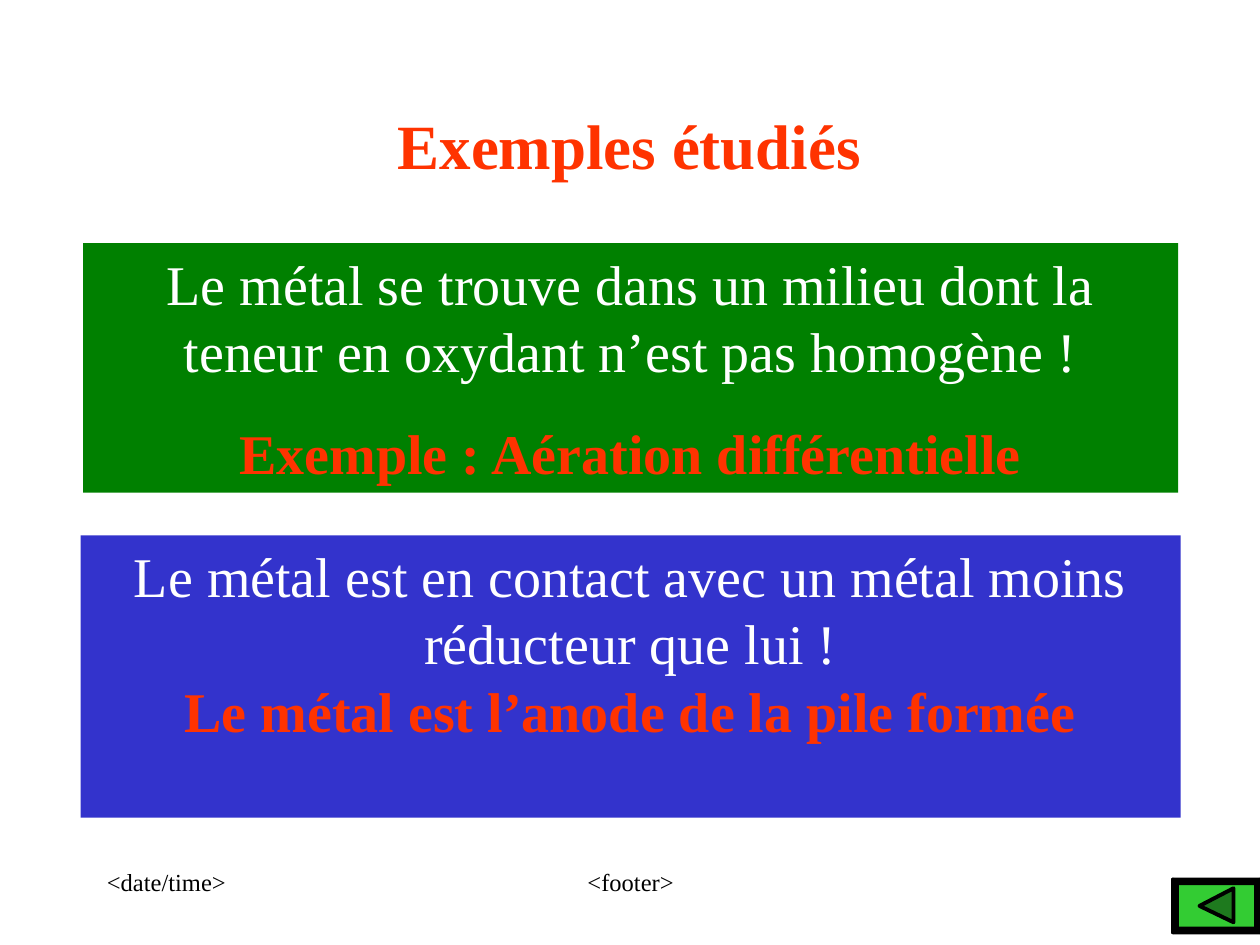
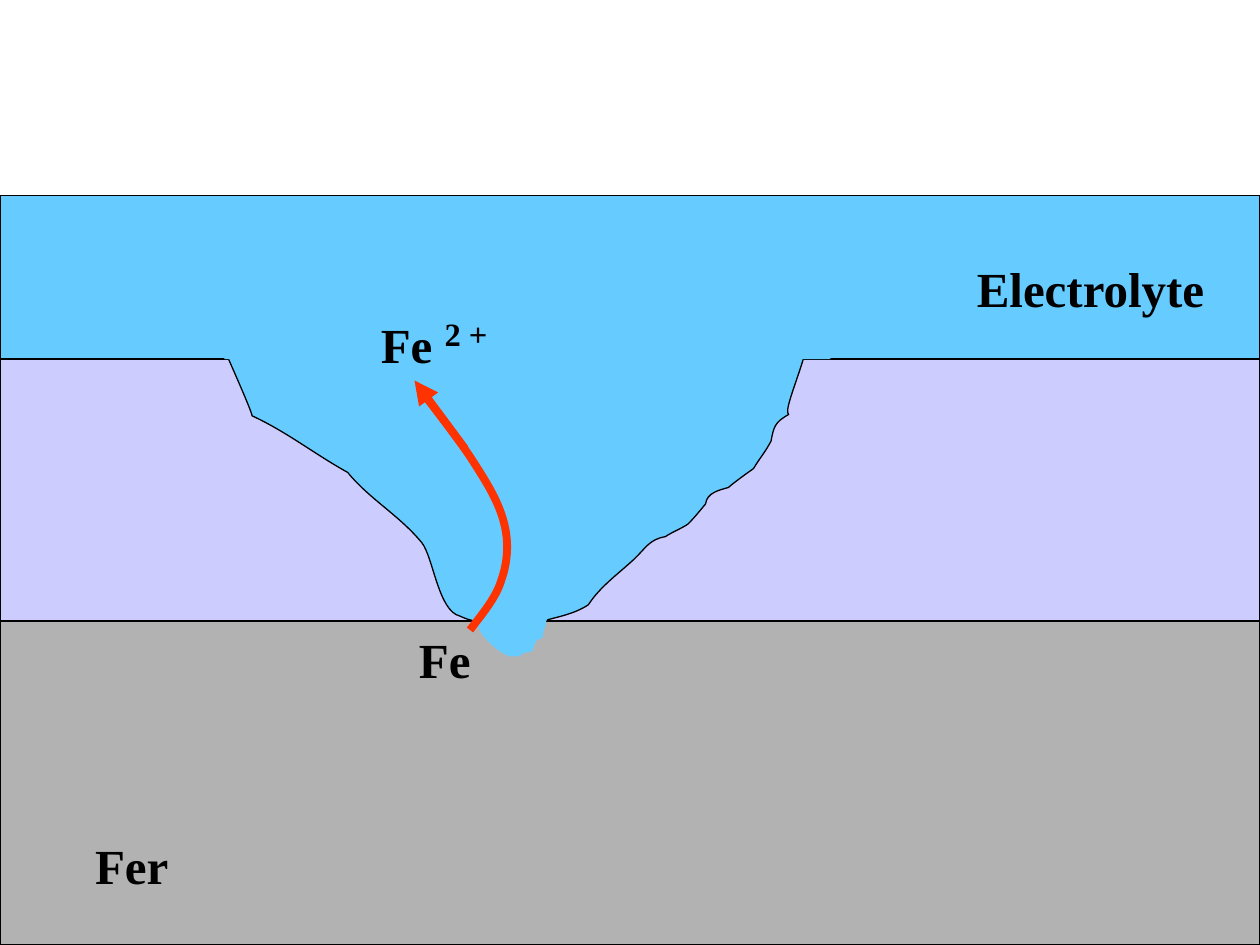
"""Build two slides on the corrosion of iron: the cases studied and a pit diagram."""
from dataclasses import dataclass
from typing import NamedTuple

from lxml import etree
from pptx import Presentation
from pptx.dml.color import RGBColor
from pptx.enum.shapes import MSO_CONNECTOR, MSO_SHAPE
from pptx.enum.text import MSO_ANCHOR, PP_ALIGN
from pptx.oxml.ns import qn
from pptx.util import Pt

PX = 9144
FONT = "Times New Roman"
LEFT, CENTER = PP_ALIGN.LEFT, PP_ALIGN.CENTER
TOP = MSO_ANCHOR.TOP
STRAIGHT = MSO_CONNECTOR.STRAIGHT
RECT = MSO_SHAPE.RECTANGLE

COLORS = {
    "black": "000000",
    "white": "FFFFFF",
    "accent": "FF3300",
    "green": "008000",
    "blue": "3333CC",
    "button": "33CC33",
    "electrolyte": "66CCFF",
    "coating": "CCCCFF",
    "iron": "B2B2B2",
}
FRAME = {"word_wrap": True, "vertical_anchor": TOP}

Point = tuple[int, int]
Cubic = tuple[int, int, int, int, int, int]


class Area(NamedTuple):
    """A rectangle in px."""

    x: int
    y: int
    w: int
    h: int

    def corners(self, inset: int = 0) -> list[Point]:
        """Return the corners, clockwise from the top left."""
        x1, y1 = self.x + inset, self.y + inset
        x2, y2 = self.x + self.w - inset, self.y + self.h - inset
        return [(x1, y1), (x2, y1), (x2, y2), (x1, y2)]


class Run(NamedTuple):
    """A piece of text with its format."""

    text: str
    size: int
    color: str = "black"
    bold: bool = False
    baseline: int = 0


@dataclass
class TextBlock:
    """A text area, filled or not, holding paragraphs of runs."""

    area: Area
    paragraphs: list[list[Run]]
    fill: str | None = None
    align: PP_ALIGN = CENTER
    gap: int = 0


@dataclass
class Block:
    """A plain rectangle."""

    area: Area
    fill: str
    line: float = 0


@dataclass
class Curve:
    """An outline made of cubic curves."""

    start: Point
    cubics: list[Cubic]
    fill: str | None = None
    line: float = 0
    line_color: str = "black"


def rgb(name: str) -> RGBColor:
    """Return a named colour."""
    return RGBColor.from_string(COLORS[name])


def emu(*lengths: int) -> list[int]:
    """Turn px into EMU."""
    return [v * PX for v in lengths]


def style(sp, fill: str | None, line: float, line_color: str = "black") -> None:
    """Set fill and line, and remove the shadow."""
    sp.shadow.inherit = False
    if fill:
        sp.fill.solid()
        sp.fill.fore_color.rgb = rgb(fill)
    else:
        sp.fill.background()
    if line:
        sp.line.color.rgb = rgb(line_color)
        sp.line.width = Pt(line)
    else:
        sp.line.fill.background()


def draw_block(s, block: Block):
    """Draw a rectangle."""
    sp = s.shapes.add_shape(RECT, *emu(*block.area))
    style(sp, block.fill, block.line)
    return sp


def draw_text(s, block: TextBlock) -> None:
    """Draw a text block."""
    if block.fill:
        sp = draw_block(s, Block(block.area, block.fill))
    else:
        sp = s.shapes.add_textbox(*emu(*block.area))
    tf = sp.text_frame
    for key, value in FRAME.items():
        setattr(tf, key, value)
    for i, runs in enumerate(block.paragraphs):
        p = tf.add_paragraph() if i else tf.paragraphs[0]
        p.alignment = block.align
        if i and block.gap:
            p.space_before = Pt(block.gap)
        for run in runs:
            r = p.add_run()
            r.text = run.text
            values = {"name": FONT, "size": Pt(run.size), "bold": run.bold}
            for key, value in values.items():
                setattr(r.font, key, value)
            r.font.color.rgb = rgb(run.color)
            if run.baseline:
                r._r.get_or_add_rPr().set("baseline", str(run.baseline * 1000))


def draw_curve(s, curve: Curve) -> None:
    """Draw an outline of cubic curves, closed when it has a fill."""
    fb = s.shapes.build_freeform(*curve.start, scale=PX)
    fb.add_line_segments([c[4:] for c in curve.cubics], close=bool(curve.fill))
    sp = fb.convert_to_shape()
    style(sp, curve.fill, curve.line, curve.line_color)
    ends = [curve.start, *(c[4:] for c in curve.cubics)]
    left, top = (min(values) for values in zip(*ends))
    for segment, c in zip(list(sp._element.iter(qn("a:lnTo"))), curve.cubics):
        bezier = etree.Element(qn("a:cubicBezTo"))
        for x, y in zip(c[::2], c[1::2]):
            etree.SubElement(bezier, qn("a:pt"), x=str(x - left), y=str(y - top))
        segment.getparent().replace(segment, bezier)


def draw_button(s, area: Area, edge: int, arrow: list[Point]) -> None:
    """Draw a bevelled button with a darker arrow as one shape."""
    outer, inner = area.corners(), area.corners(edge)
    sides = [
        [outer[i - 1], outer[i], inner[i], inner[i - 1]] for i in range(len(outer))
    ]
    fb = s.shapes.build_freeform(*outer[0], scale=PX)
    fb.add_line_segments(outer[1:])
    for contour in (*sides, arrow):
        fb.move_to(*contour[0])
        fb.add_line_segments(contour[1:])
    sp = fb.convert_to_shape()
    style(sp, "button", 2.25)
    whole = next(sp._element.iter(qn("a:path")))
    paths = whole.getparent()
    for step in list(whole):
        if step.tag == qn("a:moveTo"):
            part = etree.SubElement(paths, qn("a:path"), dict(whole.attrib))
        part.append(step)
    paths.remove(whole)
    part.set("fill", "darken")


def draw_arrow(s, start: Point, end: Point, color: str, width: float) -> None:
    """Draw a straight arrow."""
    cx = s.shapes.add_connector(STRAIGHT, *emu(*start, *end))
    cx.line.color.rgb = rgb(color)
    cx.line.width = Pt(width)
    etree.SubElement(cx.line._get_or_add_ln(), qn("a:tailEnd"), type="triangle")
    etree.SubElement(cx._element.spPr, qn("a:effectLst"))


def label(area: Area, text: str, *extra: Run) -> TextBlock:
    """Return a bold label of the diagram."""
    return TextBlock(area, [[Run(text, 28, bold=True), *extra]])


CASES = [
    TextBlock(Area(342, 683, 317, 50), [[Run("<footer>", 14)]]),
    TextBlock(Area(75, 683, 208, 50), [[Run("<date/time>", 14)]], align=LEFT),
    TextBlock(
        Area(66, 193, 869, 198),
        [
            [Run("Le métal se trouve dans un milieu dont la teneur en oxydant "
                 "n’est pas homogène !", 32, "white")],
            [Run("Exemple : Aération différentielle", 32, "accent", True)],
        ],
        fill="green",
        gap=20,
    ),
    TextBlock(Area(287, 80, 425, 70), [[Run("Exemples étudiés", 36, "accent", True)]]),
    TextBlock(
        Area(64, 425, 873, 224),
        [
            [Run("Le métal est en contact avec un métal moins réducteur que lui !",
                 32, "white")],
            [Run("Le métal est l’anode de la pile formée", 32, "accent", True)],
        ],
        fill="blue",
    ),
]

LAYERS = [
    Block(Area(0, 155, 1000, 424), "electrolyte", 0.75),
    Block(Area(0, 285, 1000, 465), "coating", 0.75),
    Block(Area(0, 493, 1000, 257), "iron", 0.75),
]
PIT_MOUTH = Block(Area(178, 229, 481, 56), "electrolyte")

COATING_PIT = Curve(
    (200, 330),
    [
        (228, 343, 249, 360, 276, 375), (293, 396, 317, 409, 335, 431),
        (344, 443, 348, 485, 365, 489), (386, 499, 393, 488, 415, 495),
        (425, 495, 422, 495, 431, 493), (440, 490, 455, 488, 467, 480),
        (476, 466, 490, 456, 502, 445), (512, 436, 515, 428, 528, 426),
        (534, 422, 540, 420, 546, 416), (551, 411, 555, 406, 560, 400),
        (561, 391, 571, 389, 578, 387), (585, 381, 598, 372, 598, 372),
        (602, 365, 608, 358, 612, 350), (614, 339, 615, 335, 626, 329),
        (619, 325, 656, 256, 638, 245), (621, 235, 548, 262, 522, 265),
        (495, 267, 493, 258, 481, 260), (469, 261, 462, 275, 447, 273),
        (420, 276, 418, 246, 391, 248), (360, 247, 345, 280, 314, 278),
        (302, 277, 285, 266, 273, 265), (266, 263, 224, 238, 212, 248),
        (197, 251, 182, 268, 180, 282), (180, 282, 201, 329, 200, 330),
    ],
    fill="electrolyte",
    line=0.75,
)
IRON_PIT = Curve(
    (373, 490),
    [
        (378, 493, 380, 499, 383, 504), (388, 510, 397, 519, 405, 521),
        (407, 521, 410, 521, 412, 521), (414, 520, 414, 519, 416, 518),
        (418, 518, 420, 518, 422, 517), (425, 514, 423, 508, 429, 507),
        (430, 507, 430, 506, 431, 505), (431, 500, 432, 500, 433, 497),
        (433, 495, 433, 493, 434, 492), (434, 491, 434, 491, 435, 491),
        (431, 491, 430, 492, 426, 493), (425, 493, 424, 493, 422, 494),
        (420, 493, 417, 494, 414, 493), (411, 493, 409, 491, 406, 490),
        (399, 491, 393, 492, 387, 492), (381, 493, 377, 492, 372, 490),
        (372, 490, 372, 490, 373, 490),
    ],
    fill="electrolyte",
)
ION_TRAIL = Curve(
    (373, 500),
    [
        (383, 487, 394, 474, 398, 460), (403, 446, 404, 430, 400, 415),
        (396, 399, 387, 384, 376, 367), (366, 351, 344, 323, 338, 315),
    ],
    line=4.5,
    line_color="accent",
)
LABELS = [
    label(Area(29, 658, 151, 57), "Fer"),
    label(Area(731, 200, 269, 57), "Electrolyte"),
    label(Area(295, 495, 116, 57), "Fe"),
    label(Area(269, 239, 151, 64), "Fe ", Run("2 +", 32, bold=True, baseline=30)),
]


def main() -> None:
    """Build and save the slides."""
    prs = Presentation()
    prs.slide_width, prs.slide_height = emu(1000, 750)
    cases, pit = (prs.slides.add_slide(prs.slide_layouts[6]) for _ in range(2))
    for block in CASES:
        draw_text(cases, block)
    draw_button(cases, Area(931, 698, 69, 42), 3, [(952, 719), (979, 705), (979, 732)])
    for layer in LAYERS:
        draw_block(pit, layer)
    draw_curve(pit, COATING_PIT)
    draw_block(pit, PIT_MOUTH)
    for curve in (IRON_PIT, ION_TRAIL):
        draw_curve(pit, curve)
    for block in LABELS:
        draw_text(pit, block)
    draw_arrow(pit, (369, 356), (329, 302), "accent", 4.5)
    prs.save("out.pptx")


if __name__ == "__main__":
    main()
